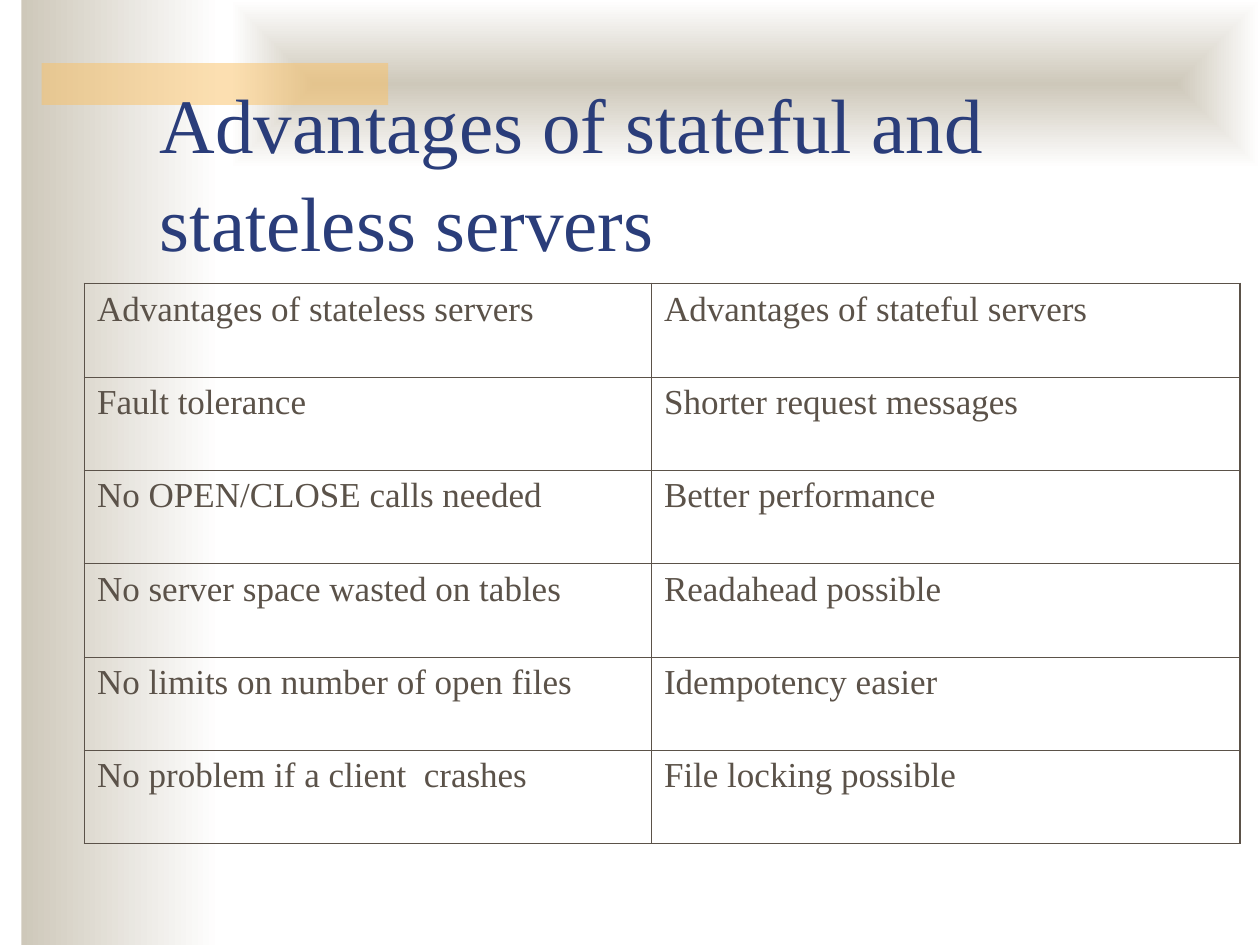
from lxml import etree
from pptx import Presentation
from pptx import util as u
from pptx.dml.color import RGBColor
from pptx.enum import shapes, text
from pptx.oxml.ns import qn

WIDTH, HEIGHT = u.Inches(10), u.Inches(7.5)
FONT = "Times New Roman"
COLORS = {"sand": "CEC8BA", "white": "FFFFFF", "amber": "FAC164",
          "navy": "2A3D7A", "brown": "5B5249"}
ADVANTAGES = [
    ("Advantages of stateless servers", "Advantages of stateful servers"),
    ("Fault tolerance", "Shorter request messages"),
    ("No OPEN/CLOSE calls needed", "Better performance"),
    ("No server space wasted on tables", "Readahead possible"),
    ("No limits on number of open files", "Idempotency easier"),
    ("No problem if a client  crashes", "File locking possible"),
]
COLUMN_SHARES = (0.45, 0.467)
ROW_SHARE = 0.0988
THIN, THICK = 0.45, 1.08


def rgb(name):
    return RGBColor.from_string(COLORS[name])


def area(left, top, width, height):
    return (int(WIDTH * left), int(HEIGHT * top),
            int(WIDTH * width), int(HEIGHT * height))


def write(frame, content, size, color, before=None, spacing=None):
    frame.word_wrap = True
    paragraph = frame.paragraphs[0]
    paragraph.alignment = text.PP_ALIGN.LEFT
    if before is not None:
        paragraph.space_before = u.Pt(before)
    if spacing is not None:
        paragraph.line_spacing = spacing
    run = paragraph.add_run()
    run.text = content
    run.font.name = FONT
    run.font.size = u.Pt(size)
    run.font.color.rgb = rgb(color)


def add_band(slide, *shares):
    band = slide.shapes.add_shape(shapes.MSO_SHAPE.RECTANGLE, *area(*shares))
    band.shadow.inherit = False
    band.line.fill.background()
    return band


def fade(band, start, end, from_center=False):
    band.fill.gradient()
    band.fill.gradient_angle = 0
    for stop, color, position in zip(band.fill.gradient_stops, (start, end), (0, 1)):
        stop.color.rgb = rgb(color)
        stop.position = position
    if from_center:
        gradient = band.fill._xPr.find(qn("a:gradFill"))
        gradient.remove(gradient.find(qn("a:lin")))
        rays = etree.SubElement(gradient, qn("a:path"), path="rect")
        etree.SubElement(rays, qn("a:fillToRect"),
                         {side: "50000" for side in "ltrb"})


def tint(band, color, opacity):
    band.fill.solid()
    band.fill.fore_color.rgb = rgb(color)
    shade = band.fill._xPr.find(qn("a:solidFill"))[0]
    etree.SubElement(shade, qn("a:alpha"), val=str(opacity * 1000))


def add_title(slide, content):
    title = slide.shapes.add_textbox(*area(0.117, 0.122, 0.85, 0.167))
    title.text_frame.vertical_anchor = text.MSO_ANCHOR.BOTTOM
    write(title.text_frame, content, 44, "navy", spacing=1.06)


def set_borders(cell, widths, color):
    properties = cell._tc.get_or_add_tcPr()
    for side in "LRTB":
        edge = etree.SubElement(properties, qn(f"a:ln{side}"),
                                w=str(u.Pt(widths[side])))
        paint = etree.SubElement(edge, qn("a:solidFill"))
        etree.SubElement(paint, qn("a:srgbClr"), val=COLORS[color])


def add_comparison(slide, rows):
    last_row, last_column = len(rows) - 1, len(COLUMN_SHARES) - 1
    place = area(0.067, 0.3, sum(COLUMN_SHARES), ROW_SHARE * len(rows))
    table = slide.shapes.add_table(len(rows), len(COLUMN_SHARES), *place).table
    table.first_row = table.horz_banding = False
    for column, share in zip(table.columns, COLUMN_SHARES):
        column.width = int(WIDTH * share)
    for r, entries in enumerate(rows):
        table.rows[r].height = int(HEIGHT * ROW_SHARE)
        for c, entry in enumerate(entries):
            cell = table.cell(r, c)
            outer = {"L": c == 0, "R": c == last_column,
                     "T": r == 0, "B": r == last_row}
            set_borders(cell, {side: THICK if edge else THIN
                               for side, edge in outer.items()}, "brown")
            cell.fill.background()
            write(cell.text_frame, entry, 20, "brown", before=5)


def main():
    deck = Presentation()
    deck.slide_width, deck.slide_height = WIDTH, HEIGHT
    slide = deck.slides.add_slide(deck.slide_layouts[6])
    slide.background.fill.solid()
    slide.background.fill.fore_color.rgb = rgb("white")
    fade(add_band(slide, 0.017, 0, 0.158, 1), "sand", "white")
    fade(add_band(slide, 0.183, 0, 0.817, 0.178), "sand", "white", from_center=True)
    tint(add_band(slide, 0.033, 0.067, 0.275, 0.044), "amber", 50)
    add_title(slide, "Advantages of stateful and stateless servers")
    add_comparison(slide, ADVANTAGES)
    deck.save("out.pptx")


if __name__ == "__main__":
    main()
